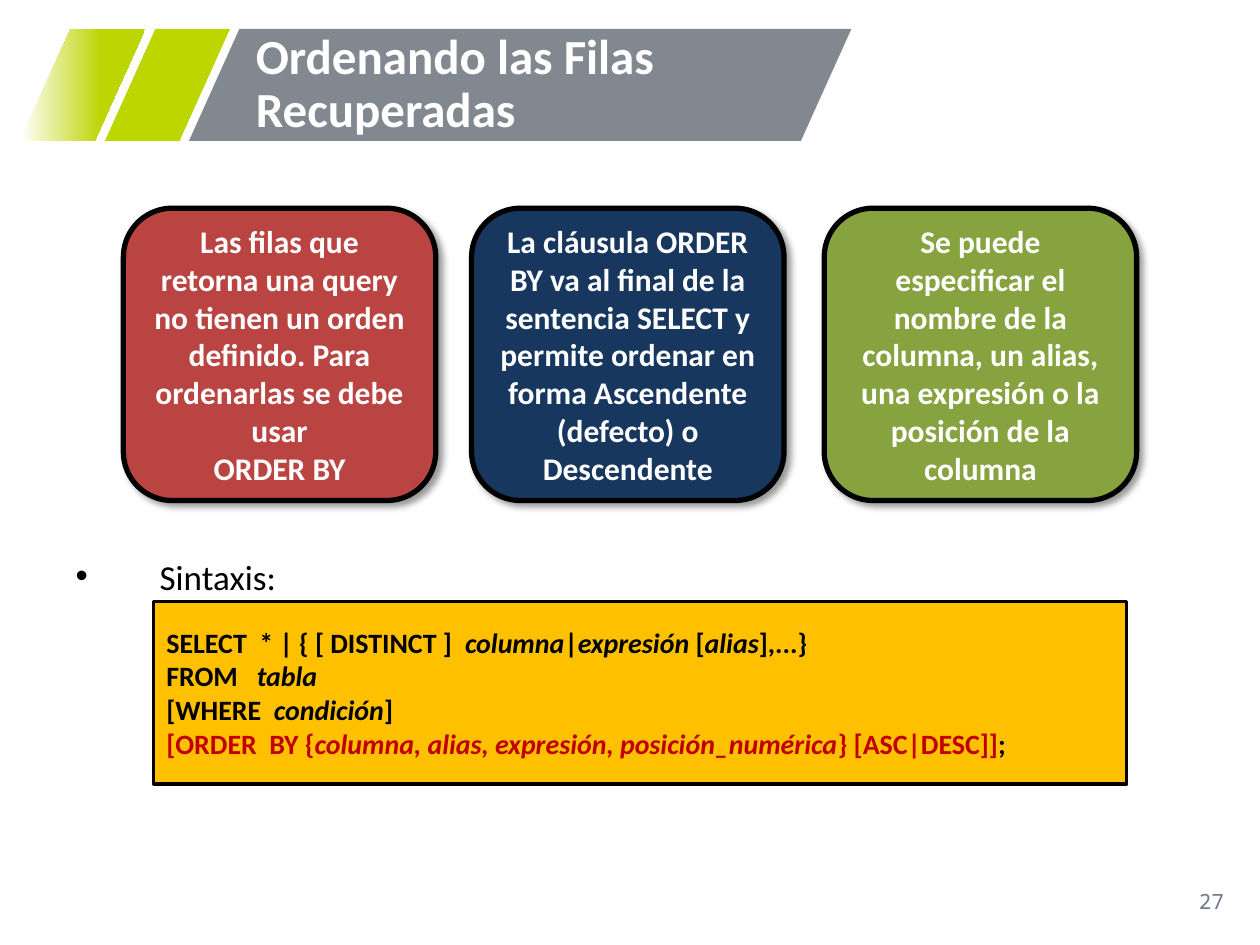
from lxml import etree
from pptx import Presentation
from pptx import util as u
from pptx.dml import color
from pptx.enum import shapes, text
from pptx.oxml import ns

Pt = u.Pt
FONT = "Calibri"
BLACK, WHITE, RED = "000000", "FFFFFF", "C00000"

CARDS = [
    (70.5, "B94441", ["Las filas que retorna una query no tienen un orden definido. "
                      "Para ordenarlas se debe usar", "ORDER BY"]),
    (269.5, "17375E", ["La cláusula ORDER BY va al final de la sentencia SELECT y permite "
                       "ordenar en forma Ascendente (defecto) o Descendente"]),
    (471, "86A33F", ["Se puede especificar el nombre de la columna, un alias, "
                     "una expresión o la posición de la columna"]),
]

SYNTAX = [
    [("SELECT  * | { [ DISTINCT ]  ", False, BLACK), ("columna", True, BLACK),
     ("|", False, BLACK), ("expresión", True, BLACK), (" [", False, BLACK),
     ("alias", True, BLACK), ("],...}", False, BLACK)],
    [("FROM   ", False, BLACK), ("tabla", True, BLACK)],
    [("[WHERE  ", False, BLACK), ("condición", True, BLACK), ("]", False, BLACK)],
    [("[ORDER  BY {", False, RED),
     ("columna, alias, expresión, posición_numérica", True, RED),
     ("} [ASC|DESC]]", False, RED), (";", False, BLACK)],
]


def rgb(value):
    """Return the colour for a hex string."""
    return color.RGBColor.from_string(value)


def set_font(font, size, value, bold=False, name=FONT):
    """Format a paragraph font."""
    font.name, font.size, font.bold = name, Pt(size), bold
    font.color.rgb = rgb(value)


def place(shape, box):
    """Move a shape to a box of left, top, width and height in points."""
    shape.left, shape.top, shape.width, shape.height = map(Pt, box)


def add_block(page, kind, box, fill, line=None, weight=1):
    """Add a preset shape with a solid fill and an optional outline."""
    block = page.shapes.add_shape(kind, *map(Pt, box))
    block.shadow.inherit = False
    block.fill.solid()
    block.fill.fore_color.rgb = rgb(fill)
    if line:
        block.line.color.rgb = rgb(line)
        block.line.width = Pt(weight)
    else:
        block.line.fill.background()
    return block


def add_shadow(shape):
    """Give a shape a soft shadow to the lower right."""
    effects = shape._element.spPr.find(ns.qn("a:effectLst"))
    shadow = etree.SubElement(effects, ns.qn("a:outerShdw"), blurRad=str(Pt(4)),
                              dist=str(Pt(3)), dir="2700000", algn="tl", rotWithShape="0")
    tint = etree.SubElement(shadow, ns.qn("a:srgbClr"), val=BLACK)
    etree.SubElement(tint, ns.qn("a:alpha"), val="40000")


def add_banner(page, box):
    """Draw the slanted title band with its two accents and the title."""
    left, top, width, height = box
    pieces = [(48.5, 71.5, "BED600"), (0, 71.5, "BDD503"), (96.5, 378.5, "81888F")]
    bands = []
    for offset, length, fill in pieces:
        band = add_block(page, shapes.MSO_SHAPE.PARALLELOGRAM,
                         (left + offset, top, length, height), fill)
        band.adjustments[0] = 0.45
        bands.append(band)
    fade = bands[1].fill
    fade.gradient()
    fade.gradient_angle = 0
    for stop, position, value in zip(fade.gradient_stops, (0, 0.65), (WHITE, "BDD503")):
        stop.position = position
        stop.color.rgb = rgb(value)

    title = page.shapes.title
    page.shapes._spTree.append(title._element)
    place(title, (left + 127.5, top, width - 137.5, height))
    frame = title.text_frame
    frame.text = "Ordenando las Filas Recuperadas"
    frame.auto_size = text.MSO_AUTO_SIZE.NONE
    frame.vertical_anchor = text.MSO_ANCHOR.MIDDLE
    para = frame.paragraphs[0]
    para.alignment = text.PP_ALIGN.LEFT
    para.line_spacing = 0.9
    set_font(para.font, 28, WHITE, True)


def add_card(page, box, fill, lines):
    """Draw a rounded card with centred text."""
    card = add_block(page, shapes.MSO_SHAPE.ROUNDED_RECTANGLE, box, fill, BLACK, 3)
    add_shadow(card)
    frame = card.text_frame
    frame.word_wrap = True
    frame.text = "\n".join(lines)
    for para in frame.paragraphs:
        para.alignment = text.PP_ALIGN.CENTER
        set_font(para.font, 18, WHITE, True)


def add_heading(page, box):
    """Place the bulleted heading in the body placeholder."""
    body = page.placeholders[1]
    place(body, box)
    frame = body.text_frame
    frame.text = "Sintaxis:"
    frame.auto_size = text.MSO_AUTO_SIZE.NONE
    frame.vertical_anchor = text.MSO_ANCHOR.MIDDLE
    para = frame.paragraphs[0]
    properties = para._p.get_or_add_pPr()
    properties.set("marL", str(Pt(48)))
    properties.set("indent", str(-Pt(48)))
    etree.SubElement(properties, ns.qn("a:buChar"), char="•")
    para.alignment = text.PP_ALIGN.JUSTIFY
    para.line_spacing = 0.8
    para.space_before = Pt(0)
    set_font(para.font, 20, BLACK)


def add_syntax(page, box):
    """Draw the syntax panel with its coloured statement."""
    panel = add_block(page, shapes.MSO_SHAPE.RECTANGLE, box, "FFC000", BLACK, 1.75)
    frame = panel.text_frame
    frame.word_wrap = True
    for index, line in enumerate(SYNTAX):
        para = frame.add_paragraph() if index else frame.paragraphs[0]
        para.alignment = text.PP_ALIGN.LEFT
        set_font(para.font, 16, BLACK, True)
        for words, italic, value in line:
            span = para.add_run()
            span.text = words
            span.font.italic = italic
            span.font.color.rgb = rgb(value)


def add_number(page, box):
    """Place the page number at the lower right."""
    frame = page.shapes.add_textbox(*map(Pt, box)).text_frame
    frame.word_wrap = True
    frame.vertical_anchor = text.MSO_ANCHOR.MIDDLE
    frame.text = "27"
    para = frame.paragraphs[0]
    para.alignment = text.PP_ALIGN.RIGHT
    set_font(para.font, 12, "6C7A8A", name="Noto Sans Mono")


def main():
    """Build and save the slide."""
    deck = Presentation()
    deck.slide_width, deck.slide_height = Pt(720), Pt(540)
    page = deck.slides.add_slide(deck.slide_layouts[1])
    add_banner(page, (11.5, 16.5, 475, 64))
    add_heading(page, (36, 317, 648, 29))
    add_syntax(page, (88, 343.5, 556, 104.5))
    for left, fill, lines in CARDS:
        add_card(page, (left, 119, 178.5, 167), fill, lines)
    add_number(page, (544.5, 500.5, 162, 29))
    deck.save("out.pptx")


if __name__ == "__main__":
    main()
